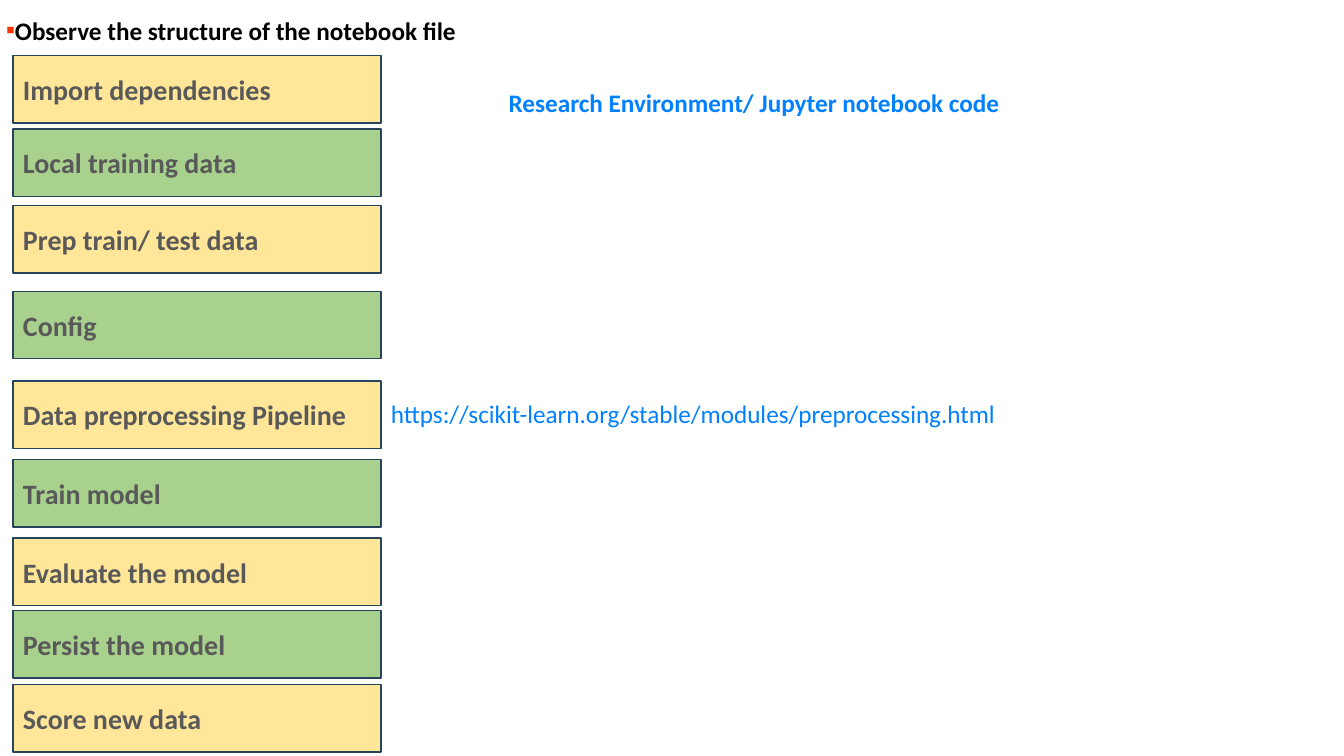
"""Build the slide that outlines the structure of a notebook file."""
from typing import NamedTuple

from lxml.etree import SubElement
from pptx import Presentation
from pptx.dml.color import RGBColor
from pptx.enum.shapes import MSO_SHAPE
from pptx.enum.text import MSO_ANCHOR, MSO_AUTO_SIZE, PP_ALIGN
from pptx.oxml.ns import qn
from pptx.slide import Slide
from pptx.text.text import _Paragraph as Paragraph
from pptx.util import Cm, Pt

BLACK = RGBColor(0x00, 0x00, 0x00)
GRAY = RGBColor(0x59, 0x59, 0x59)
BLUE = RGBColor(0x01, 0x80, 0xFF)
NAVY = RGBColor(0x28, 0x44, 0x5D)
YELLOW = RGBColor(0xFF, 0xE6, 0x99)
GREEN = RGBColor(0xA9, 0xD1, 0x8E)
BULLET_RED = "FF3300"
FONT_NAME = "Calibri"
STEP_LEFT, STEP_WIDTH, STEP_HEIGHT = Cm(0.33), Cm(9.27), Cm(1.7)
LINE_HEIGHT = Cm(1.02)


class Step(NamedTuple):
    """A notebook section and its top edge in centimetres."""

    label: str
    top: float


class Note(NamedTuple):
    """A blue text with its place in centimetres."""

    text: str
    left: float
    top: float
    width: float
    bold: bool


STEPS = [
    Step("Import dependencies", 1.4),
    Step("Local training data", 3.25),
    Step("Prep train/ test data", 5.18),
    Step("Config", 7.34),
    Step("Data preprocessing Pipeline", 9.6),
    Step("Train model", 11.58),
    Step("Evaluate the model", 13.56),
    Step("Persist the model", 15.39),
    Step("Score new data", 17.25),
]
NOTES = [
    Note("https://scikit-learn.org/stable/modules/preprocessing.html", 9.6, 9.9, 17.04, False),
    Note("Research Environment/ Jupyter notebook code", 12.57, 2.08, 15.93, True),
]


def format_text(paragraph: Paragraph, size: int, color: RGBColor, bold: bool) -> None:
    """Align a paragraph left and set its font."""
    paragraph.alignment = PP_ALIGN.LEFT
    paragraph.font.name = FONT_NAME
    paragraph.font.size = Pt(size)
    paragraph.font.bold = bold
    paragraph.font.color.rgb = color


def add_bullet(paragraph: Paragraph) -> None:
    """Give a paragraph a small red square bullet."""
    properties = paragraph._p.get_or_add_pPr()
    properties.set("marL", "0")
    properties.set("indent", str(-Cm(0.79)))
    bullet_color = SubElement(properties, qn("a:buClr"))
    SubElement(bullet_color, qn("a:srgbClr"), val=BULLET_RED)
    SubElement(properties, qn("a:buFont"), typeface=FONT_NAME)
    SubElement(properties, qn("a:buChar"), char="▪")


def format_title(slide: Slide) -> None:
    """Place the heading at the top left of the slide."""
    title = slide.shapes.title
    title.left, title.top, title.width, title.height = Cm(-0.1), Cm(0.25), Cm(16.94), LINE_HEIGHT
    text_frame = title.text_frame
    text_frame.text = "Observe the structure of the notebook file"
    text_frame.vertical_anchor = MSO_ANCHOR.TOP
    text_frame.auto_size = MSO_AUTO_SIZE.NONE
    add_bullet(text_frame.paragraphs[0])
    format_text(text_frame.paragraphs[0], 18, BLACK, True)


def add_step(slide: Slide, step: Step, fill: RGBColor) -> None:
    """Draw one notebook section as a filled rectangle."""
    shape = slide.shapes.add_shape(
        MSO_SHAPE.RECTANGLE, STEP_LEFT, Cm(step.top), STEP_WIDTH, STEP_HEIGHT
    )
    shape.shadow.inherit = False
    shape.fill.solid()
    shape.fill.fore_color.rgb = fill
    shape.line.color.rgb = NAVY
    shape.line.width = Pt(1)
    text_frame = shape.text_frame
    text_frame.text = step.label
    text_frame.word_wrap = True
    text_frame.vertical_anchor = MSO_ANCHOR.MIDDLE
    paragraph = text_frame.paragraphs[0]
    paragraph.space_after = Pt(12)
    format_text(paragraph, 20, GRAY, True)


def add_note(slide: Slide, note: Note) -> None:
    """Write one blue text beside the sections."""
    text_box = slide.shapes.add_textbox(
        Cm(note.left), Cm(note.top), Cm(note.width), LINE_HEIGHT
    )
    text_frame = text_box.text_frame
    text_frame.text = note.text
    text_frame.word_wrap = True
    text_frame.auto_size = MSO_AUTO_SIZE.SHAPE_TO_FIT_TEXT
    format_text(text_frame.paragraphs[0], 18, BLUE, note.bold)


def main() -> None:
    """Build the presentation and save it."""
    presentation = Presentation()
    presentation.slide_width, presentation.slide_height = Cm(33.87), Cm(19.05)
    slide = presentation.slides.add_slide(presentation.slide_layouts.get_by_name("Title Only"))
    format_title(slide)
    for index, step in enumerate(STEPS):
        add_step(slide, step, GREEN if index % 2 else YELLOW)
    for note in NOTES:
        add_note(slide, note)
    presentation.save("out.pptx")


if __name__ == "__main__":
    main()
